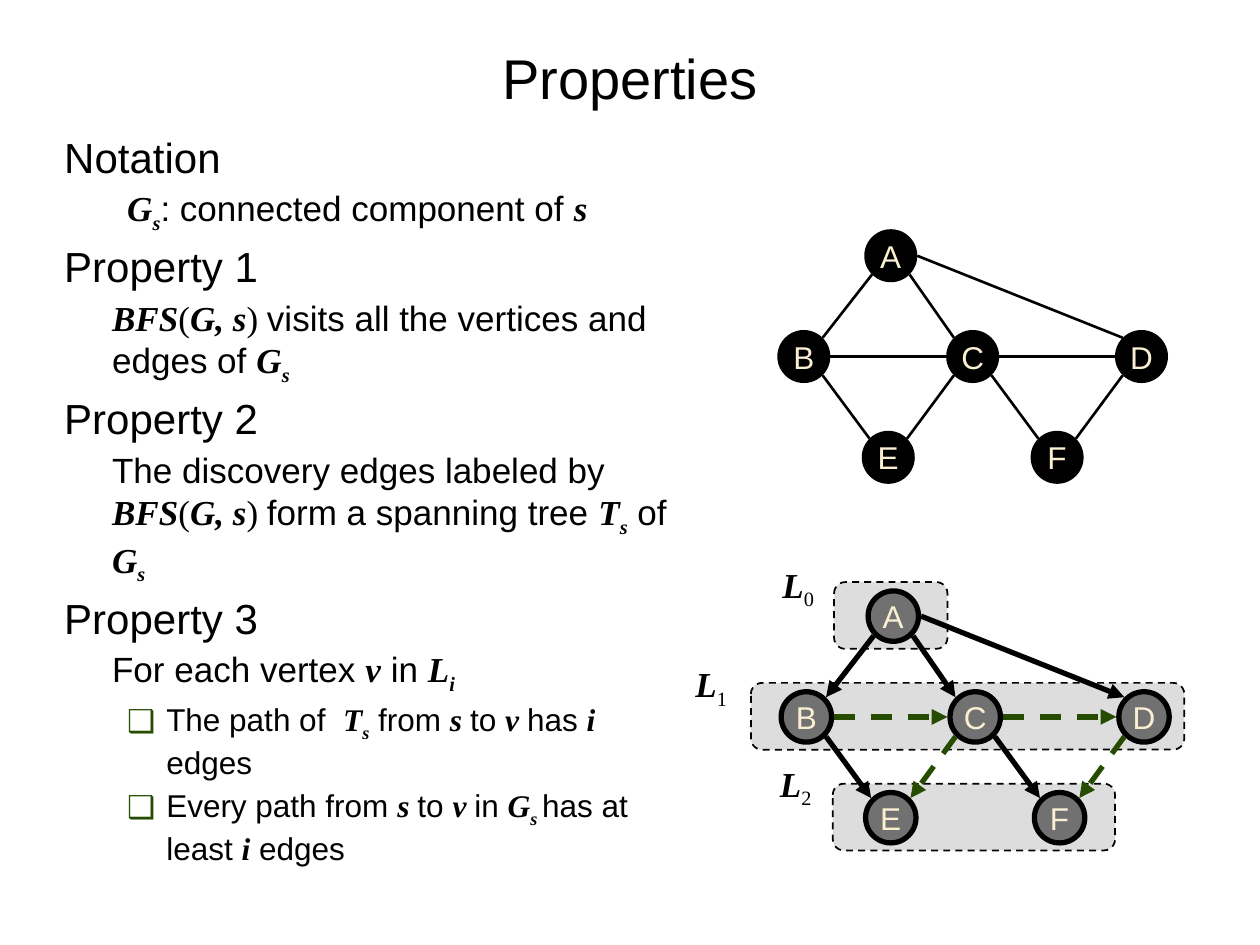
from lxml.etree import SubElement as Sub
from pptx import Presentation
from pptx.dml.color import RGBColor
from pptx.enum.dml import MSO_LINE as Dash
from pptx.enum.shapes import MSO_CONNECTOR as Link, MSO_SHAPE as Form
from pptx.enum.text import MSO_ANCHOR as Anchor, MSO_AUTO_SIZE as Fit, PP_ALIGN as Align
from pptx.oxml.ns import qn
from pptx.util import Inches, Pt

BLACK = RGBColor(0x00, 0x00, 0x00)
GREY = RGBColor(0x71, 0x71, 0x71)
PALE = RGBColor(0xDD, 0xDD, 0xDD)
CREAM = RGBColor(0xFB, 0xEF, 0xD2)
GREEN = RGBColor(0x25, 0x4C, 0x00)
SANS, SERIF = "Arial", "Times New Roman"

COL, ROW, SIZE = 0.67, 0.8, 0.4
NODES = {"A": (1.03, 0), "B": (0, 1), "C": (2, 1), "D": (4, 1), "E": (1, 2), "F": (3, 2)}
EDGES = ["AB", "AC", "AD", "BC", "CD", "BE", "CE", "CF", "DF"]
CROSS = ["BC", "CD", "CE", "DF"]
LEVELS = [(6.62, 0.9, 6.08), (5.96, 3.44, 5.39), (6.61, 2.24, 6.06)]

KINDS = {
    "head": (24, 0, 0.38, -0.38, None),
    "note": (20, 1, 0.81, -0.31, None),
    "text": (20, 0, 0.38, 0, None),
    "item": (18, 1, 0.81, -0.31, "❑"),
}
LINES = [
    ("head", "Notation"),
    ("note", "*G~s*: connected component of *s*"),
    ("head", "Property 1"),
    ("text", "*BFS**(**G, s**) *visits all the vertices and edges of *G~s*"),
    ("head", "Property 2"),
    ("text", "The discovery edges labeled by *BFS**(**G, s**) *form a spanning tree *T~s* of *G~s*"),
    ("head", "Property 3"),
    ("text", "For each vertex *v* in *L~i*"),
    ("item", "The path of  *T~s* from *s *to *v *has *i* edges"),
    ("item", "Every path from *s *to *v *in *G~s *has at least *i* edges"),
]


def place(shape, x, y, w, h):
    shape.left, shape.top, shape.width, shape.height = map(Inches, (x, y, w, h))


def add_run(para, text, face, bold=False, slant=False, low=False):
    if not text:
        return
    run = para.add_run()
    run.text = text
    font = run.font
    font.name, font.bold, font.italic = face, bold, slant
    if low:
        font._element.set("baseline", "-25000")


def add_rich(para, text):
    for i, part in enumerate(text.split("*")):
        if i % 2:
            base, _, sub = part.partition("~")
            strong = base not in ("(", ") ")
            add_run(para, base, SERIF, strong, strong)
            add_run(para, sub, SERIF, strong, strong, True)
        else:
            add_run(para, part, SANS)


def set_para(para, kind, first):
    size, level, left, hang, mark = KINDS[kind]
    para.level = level
    props = para._p.get_or_add_pPr()
    props.set("marL", str(Inches(left)))
    props.set("indent", str(Inches(hang)))
    space = Sub(props, qn("a:spcBef"))
    Sub(space, qn("a:spcPct"), val="0" if first else "15000")
    if mark:
        color = Sub(props, qn("a:buClr"))
        Sub(color, qn("a:srgbClr"), val=str(GREEN))
        Sub(props, qn("a:buChar"), char=mark)
    else:
        Sub(props, qn("a:buNone"))
    para.font.size = Pt(size)
    para.font.color.rgb = BLACK


def fill_title(title):
    place(title, 0.5, 0.3, 9, 0.62)
    title.text_frame.text = "Properties"
    title.text_frame.auto_size = Fit.NONE
    title.text_frame.vertical_anchor = Anchor.MIDDLE
    para = title.text_frame.paragraphs[0]
    para.alignment = Align.CENTER
    para.font.name, para.font.size = SANS, Pt(32)
    para.font.color.rgb = BLACK


def fill_body(body):
    place(body, 0.41, 0.99, 5, 5.33)
    frame = body.text_frame
    frame.auto_size = Fit.NONE
    for i, (kind, text) in enumerate(LINES):
        para = frame.add_paragraph() if i else frame.paragraphs[0]
        set_para(para, kind, i == 0)
        add_rich(para, text)


def add_form(slide, form, box, fill, width):
    shape = slide.shapes.add_shape(form, *map(Inches, box))
    shape.shadow.inherit = False
    shape.fill.solid()
    shape.fill.fore_color.rgb = fill
    shape.line.color.rgb = BLACK
    shape.line.width = Pt(width)
    return shape


def add_node(slide, name, x, y, fill, width):
    node = add_form(slide, Form.OVAL, (x, y, SIZE, SIZE), fill, width)
    frame = node.text_frame
    frame.word_wrap = False
    frame.vertical_anchor = Anchor.MIDDLE
    frame.text = name
    para = frame.paragraphs[0]
    para.alignment = Align.CENTER
    para.font.name, para.font.size = SANS, Pt(18)
    para.font.color.rgb = CREAM


def sign(n):
    return (n > 0) - (n < 0)


def site(spot, dx, dy, reach):
    arm = reach * 0.71 if dx and dy else reach
    return spot[0] + SIZE / 2 + arm * dx, spot[1] + SIZE / 2 + arm * dy


def add_edge(slide, start, end, reach, width, arrow, cross):
    dx, dy = end[0] - start[0], end[1] - start[1]
    sx, sy = sign(dx), sign(dy)
    flat = abs(dx) > 2 * abs(dy)
    ends = site(start, sx, 0 if flat else sy, reach) + site(end, -sx, -sy, reach)
    edge = slide.shapes.add_connector(Link.STRAIGHT, *map(Inches, ends))
    edge.line.color.rgb = GREEN if cross else BLACK
    edge.line.width = Pt(width)
    if cross:
        edge.line.dash_style = Dash.DASH
    props = edge._element.spPr
    if arrow:
        Sub(props.find(qn("a:ln")), qn("a:tailEnd"), type="triangle")
    Sub(props, qn("a:effectLst"))


def add_graph(slide, x, y, fill, width, reach, arrow=False):
    spots = {name: (x + c * COL, y + r * ROW) for name, (c, r) in NODES.items()}
    for name, spot in spots.items():
        add_node(slide, name, *spot, fill, width)
    for pair in EDGES:
        start, end = (spots[name] for name in pair)
        add_edge(slide, start, end, reach, width, arrow, arrow and pair in CROSS)


def add_level(slide, i, x, w, tag):
    band = add_form(slide, Form.ROUNDED_RECTANGLE, (x, 4.62 + i * ROW, w, 0.53), PALE, 1)
    band.line.dash_style = Dash.DASH
    label = slide.shapes.add_textbox(*map(Inches, (tag, 4.42 + i * 0.79, 0.51, 0.43)))
    label.text_frame.word_wrap = True
    para = label.text_frame.paragraphs[0]
    para.alignment = Align.CENTER
    para.font.size = Pt(20)
    para.font.color.rgb = BLACK
    add_run(para, "L", SERIF, True, True)
    add_run(para, str(i), SERIF, low=True)


def main():
    deck = Presentation()
    deck.slide_width, deck.slide_height = Inches(10), Inches(7.5)
    slide = deck.slides.add_slide(deck.slide_layouts[1])
    fill_title(slide.shapes.title)
    fill_body(slide.placeholders[1])
    for i, level in enumerate(LEVELS):
        add_level(slide, i, *level)
    add_graph(slide, 6.2, 4.69, GREY, 3, 0.22, True)
    add_graph(slide, 6.18, 1.83, BLACK, 1.5, 0.21)
    deck.save("out.pptx")


if __name__ == "__main__":
    main()
